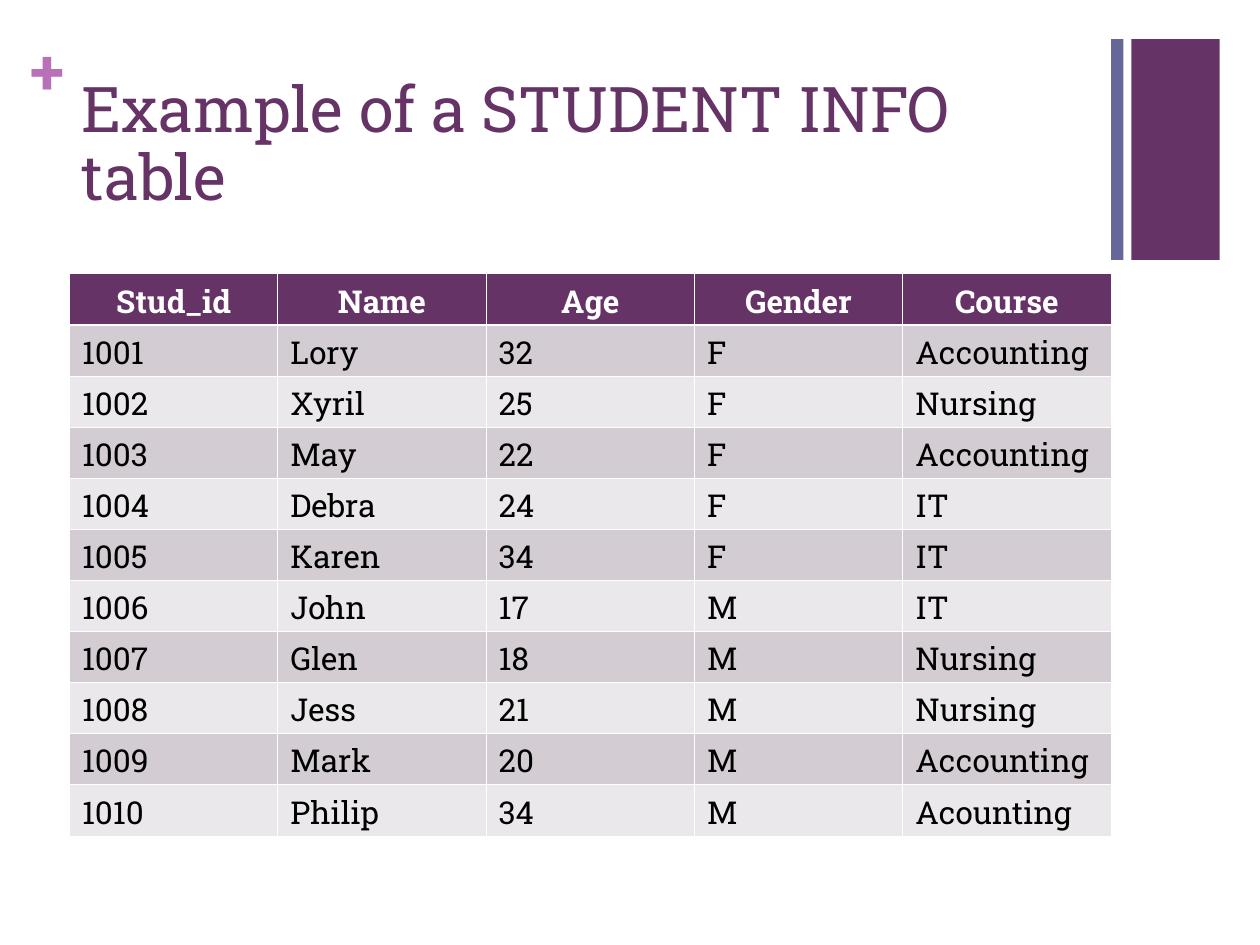
from pptx import Presentation
from pptx import util as u
from pptx.dml.color import RGBColor
from pptx.enum import shapes, text
from pptx.oxml import parse_xml
from pptx.oxml.ns import nsdecls

PLUM = RGBColor(0x66, 0x33, 0x66)
SLATE = RGBColor(0x66, 0x66, 0x99)
PINK = RGBColor(0xB8, 0x70, 0xB8)
WHITE = RGBColor(0xFF, 0xFF, 0xFF)
BLACK = RGBColor(0, 0, 0)
DARK = RGBColor(0xD3, 0xCD, 0xD3)
LIGHT = RGBColor(0xEA, 0xE8, 0xEA)
FACE = "Roboto Slab"

TITLE = "Example of a STUDENT INFO table"
HEAD = ("Stud_id", "Name", "Age", "Gender", "Course")
ROWS = [
    ("1001", "Lory", "32", "F", "Accounting"),
    ("1002", "Xyril", "25", "F", "Nursing"),
    ("1003", "May", "22", "F", "Accounting"),
    ("1004", "Debra", "24", "F", "IT"),
    ("1005", "Karen", "34", "F", "IT"),
    ("1006", "John", "17", "M", "IT"),
    ("1007", "Glen", "18", "M", "Nursing"),
    ("1008", "Jess", "21", "M", "Nursing"),
    ("1009", "Mark", "20", "M", "Accounting"),
    ("1010", "Philip", "34", "M", "Acounting"),
]
# left, top, width, height in cm
BARS = [((22.81, 0.79, 1.78, 4.45), PLUM), ((22.4, 0.79, 0.25, 4.45), SLATE)]
LEFT, TOP, WIDE, TALL = 1.4, 5.52, 4.2, 1.03
THIN, THICK = 0.45, 1.47


def cms(box):
    return [u.Cm(n) for n in box]


def style(para, size, color, bold=False):
    font = para.font
    font.name, font.size, font.bold = FACE, u.Pt(size), bold
    font.color.rgb = color


def label(slide, box, words, size, color, bold=False, pads=(0, 0)):
    """Add a text box; pads are the side and top insets in cm."""
    frame = slide.shapes.add_textbox(*cms(box)).text_frame
    frame.word_wrap = True
    frame.margin_left = frame.margin_right = u.Cm(pads[0])
    frame.margin_top, frame.margin_bottom = u.Cm(pads[1]), 0
    para = frame.paragraphs[0]
    para.text = words
    style(para, size, color, bold)
    return para


def edge(cell, sides):
    """Draw white borders; sides maps tag to width in points."""
    props = cell._tc.get_or_add_tcPr()
    for spot, (tag, wide) in enumerate(sides.items()):
        props.insert(spot, parse_xml(
            f'<a:{tag} {nsdecls("a")} w="{int(u.Pt(wide))}"><a:solidFill>'
            f'<a:srgbClr val="{WHITE}"/></a:solidFill></a:{tag}>'))


def grid(slide):
    data = [HEAD] + ROWS
    box = (LEFT, TOP, WIDE * len(HEAD), TALL * len(data))
    table = slide.shapes.add_table(len(data), len(HEAD), *cms(box)).table
    for col in table.columns:
        col.width = u.Cm(WIDE)
    for r, row in enumerate(data):
        table.rows[r].height = u.Cm(TALL)
        for c, words in enumerate(row):
            cell = table.cell(r, c)
            cell.fill.solid()
            cell.fill.fore_color.rgb = PLUM if r == 0 else DARK if r % 2 else LIGHT
            edge(cell, {"lnL": THIN, "lnR": THIN,
                        "lnT": THICK if r == 1 else THIN,
                        "lnB": THICK if r == 0 else THIN})
            para = cell.text_frame.paragraphs[0]
            para.text = words
            if r == 0:
                para.alignment = text.PP_ALIGN.CENTER
            style(para, 18, BLACK if r else WHITE, r == 0)


def main():
    deck = Presentation()
    deck.slide_width, deck.slide_height = u.Cm(25.4), u.Cm(19.05)
    slide = deck.slides.add_slide(deck.slide_layouts[6])
    for box, color in BARS:
        bar = slide.shapes.add_shape(shapes.MSO_SHAPE.RECTANGLE, *cms(box))
        bar.shadow.inherit = False
        bar.fill.solid()
        bar.fill.fore_color.rgb = color
        bar.line.fill.background()
    label(slide, (0.61, 0.64, 0.71, 1.52), "+", 36, PINK, bold=True)
    title = label(slide, (LEFT, 1.35, 20.98, 3.1), TITLE, 36, PLUM, pads=(0.25, 0.23))
    title.line_spacing = 0.9
    grid(slide)
    deck.save("out.pptx")


if __name__ == "__main__":
    main()
